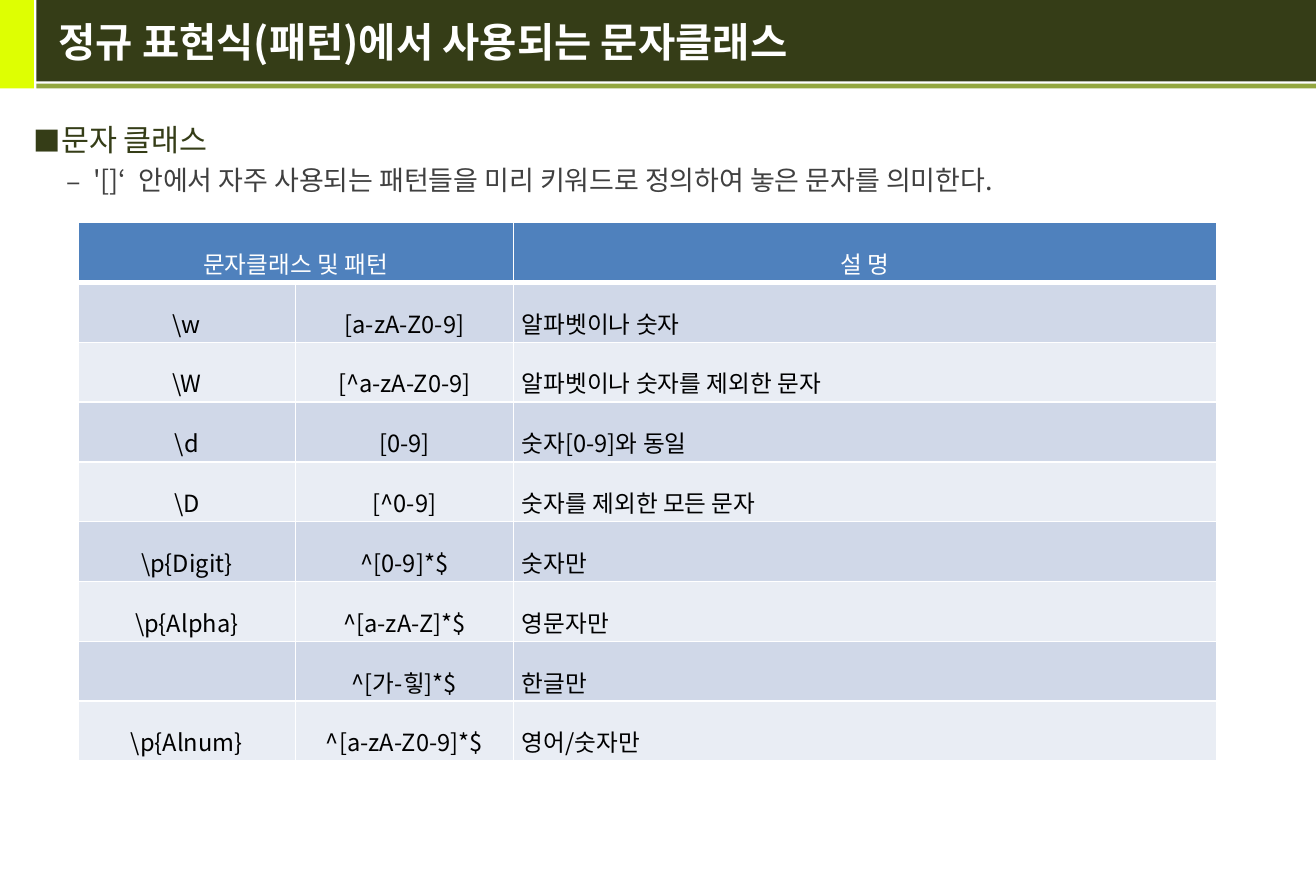
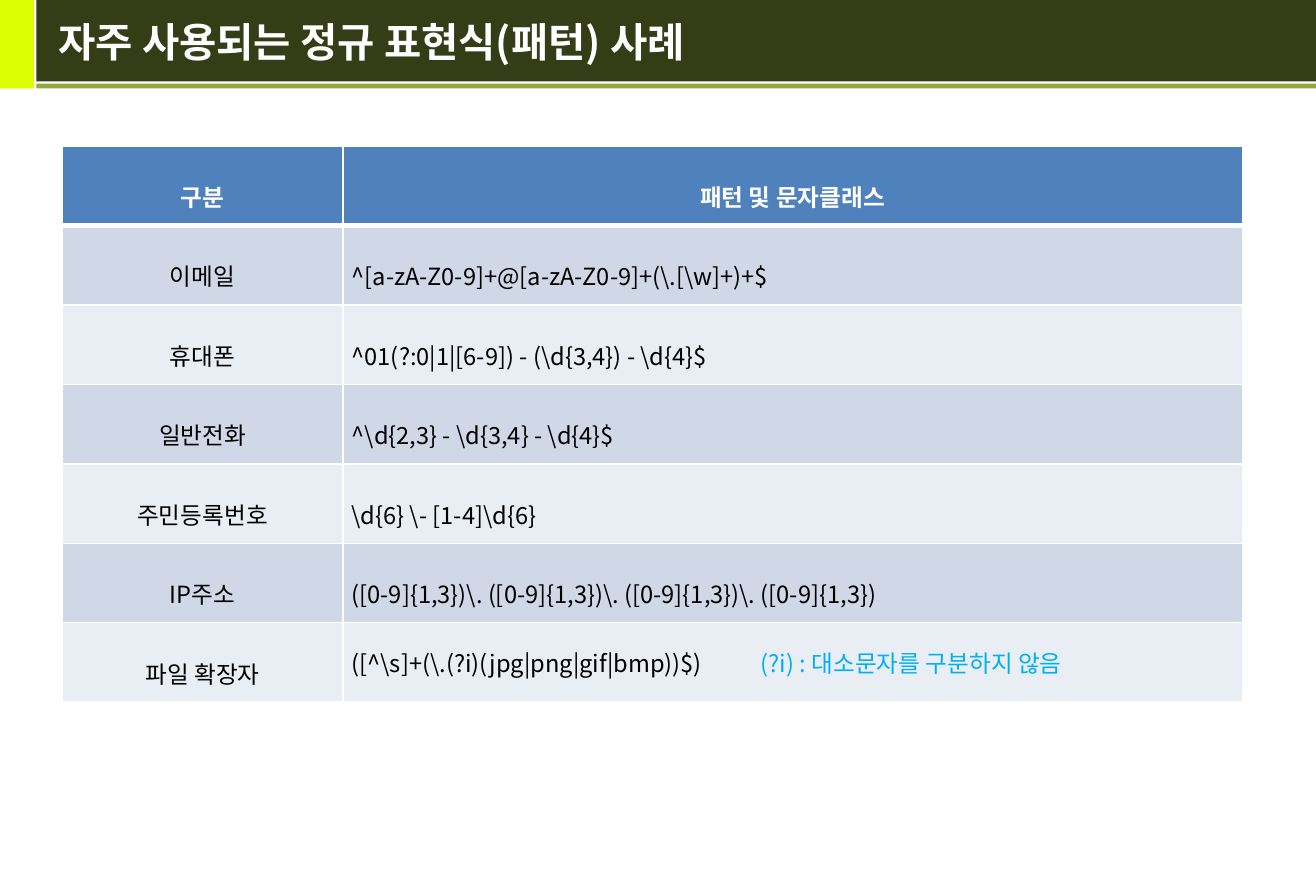
"""Builds two slides on character classes and common regular expressions."""
from lxml.etree import SubElement as Sub
from pptx import Presentation
from pptx.dml.color import RGBColor as RGB
from pptx.enum.shapes import MSO_SHAPE as Form
from pptx.enum.text import MSO_ANCHOR as Anchor, PP_ALIGN as Align
from pptx.oxml.ns import qn
from pptx.util import Cm, Pt

FONT = "Noto Sans CJK KR"
LIME = RGB(0xDE, 0xFF, 0x02)
DARK = RGB(0x35, 0x3D, 0x17)
OLIVE = RGB(0x93, 0xA7, 0x3F)
GREY = RGB(0x40, 0x40, 0x40)
BLUE = RGB(0x4F, 0x81, 0xBD)
SKY = RGB(0x00, 0xB0, 0xF0)
BANDS = [RGB(0xE9, 0xED, 0xF4), RGB(0xD0, 0xD8, 0xE8)]
WHITE = RGB(0xFF, 0xFF, 0xFF)
BLACK = RGB(0, 0, 0)

BARS = [
    (0, 0, 0.71, 1.85, LIME),
    (0.76, 0, 26.75, 1.7, DARK),
    (0.76, 1.75, 26.75, 0.1, OLIVE),
]
POINTS = [
    ("문자 클래스", 18, DARK, "■", 90, 0.51, 0.51, 1.2, 5.4),
    ("'[]‘  안에서 자주 사용되는 패턴들을 미리 키워드로 정의하여 놓은 문자를 의미한다.",
     16, GREY, "–", 100, 1.24, 0.56, 1, 3.2),
]
CLASSES = [
    ("문자클래스 및 패턴", "", "설 명"),
    (r"\w", "[a-zA-Z0-9]", "알파벳이나 숫자"),
    (r"\W", "[^a-zA-Z0-9]", "알파벳이나 숫자를 제외한 문자"),
    (r"\d", "[0-9]", "숫자[0-9]와 동일"),
    (r"\D", "[^0-9]", "숫자를 제외한 모든 문자"),
    (r"\p{Digit}", "^[0-9]*$", "숫자만"),
    (r"\p{Alpha}", "^[a-zA-Z]*$", "영문자만"),
    ("", "^[가-힣]*$", "한글만"),
    (r"\p{Alnum}", "^[a-zA-Z0-9]*$", "영어/숫자만"),
]
CASES = [
    ("구분", "패턴 및 문자클래스"),
    ("이메일", r"^[a-zA-Z0-9]+@[a-zA-Z0-9]+(\.[\w]+)+$"),
    ("휴대폰", r"^01(?:0|1|[6-9]) - (\d{3,4}) - \d{4}$"),
    ("일반전화", r"^\d{2,3} - \d{3,4} - \d{4}$"),
    ("주민등록번호", r"\d{6} \- [1-4]\d{6}"),
    ("IP주소", r"([0-9]{1,3})\. ([0-9]{1,3})\. ([0-9]{1,3})\. ([0-9]{1,3})"),
    ("파일 확장자", r"([^\s]+(\.(?i)(jpg|png|gif|bmp))$)"),
]
SLIDES = [
    ("정규 표현식(패턴)에서 사용되는 문자클래스", POINTS, CLASSES,
     1.63, 4.65, [4.55, 4.55, 14.7], 1.25, False),
    ("자주 사용되는 정규 표현식(패턴) 사례", [], CASES,
     1.3, 3.05, [5.87, 18.8], 1.66, True),
]


def write(par, text, size, color, bold=False):
    run = par.add_run()
    run.text = text
    font = run.font
    font.name, font.size, font.bold = FONT, Pt(size), bold
    font.color.rgb = color
    Sub(run._r.get_or_add_rPr(), qn("a:ea"), typeface=FONT)


def add_box(slide, left, top, width, height):
    frame = slide.shapes.add_textbox(Cm(left), Cm(top), Cm(width), Cm(height)).text_frame
    frame.word_wrap = True
    return frame


deck = Presentation()
deck.slide_width, deck.slide_height = Cm(27.51), Cm(18.49)

for title, points, rows, left, top, widths, high, bold in SLIDES:
    slide = deck.slides.add_slide(deck.slide_layouts[6])
    for x, y, wide, tall, color in BARS:
        bar = slide.shapes.add_shape(Form.RECTANGLE, Cm(x), Cm(y), Cm(wide), Cm(tall))
        bar.shadow.inherit = False
        bar.fill.solid()
        bar.fill.fore_color.rgb = color
        bar.line.fill.background()

    head = add_box(slide, 0.97, 0, 26.2, 1.73)
    head.vertical_anchor = Anchor.MIDDLE
    write(head.paragraphs[0], title, 24, WHITE, True)

    if points:
        body = add_box(slide, 0.46, 2.26, 26.3, 2.3)
    for i, (text, size, color, sign, scale, margin, hang, line, before) in enumerate(points):
        par = body.add_paragraph() if i else body.paragraphs[0]
        par.line_spacing, par.space_before = line, Pt(before)
        props = par._p.get_or_add_pPr()
        props.set("marL", str(Cm(margin)))
        props.set("indent", str(-Cm(hang)))
        tint = Sub(props, qn("a:buClr"))
        Sub(tint, qn("a:srgbClr"), val=str(color))
        Sub(props, qn("a:buSzPct"), val=str(scale * 1000))
        Sub(props, qn("a:buFont"), typeface=FONT)
        Sub(props, qn("a:buChar"), char=sign)
        write(par, text, size, color)

    grid = slide.shapes.add_table(len(rows), len(widths), Cm(left), Cm(top),
                                  Cm(sum(widths)), Cm(high * len(rows))).table
    for col, wide in zip(grid.columns, widths):
        col.width = Cm(wide)
    for r, row in enumerate(rows):
        grid.rows[r].height = Cm(high)
        for c, text in enumerate(row):
            cell = grid.cell(r, c)
            cell.vertical_anchor = Anchor.MIDDLE
            cell.margin_left = cell.margin_right = Cm(0.18)
            cell.margin_top = cell.margin_bottom = Cm(0.05)
            for side in "LRTB":
                thick = (r, side) in [(0, "B"), (1, "T")]
                edge = Sub(cell._tc.get_or_add_tcPr(), qn("a:ln" + side),
                           w=str(Pt(3 if thick else 1)))
                Sub(Sub(edge, qn("a:solidFill")), qn("a:srgbClr"), val=str(WHITE))
            cell.fill.solid()
            cell.fill.fore_color.rgb = BANDS[r % 2] if r else BLUE
            par = cell.text_frame.paragraphs[0]
            last = c == len(row) - 1
            par.alignment = Align.LEFT if r and last else Align.CENTER
            par.line_spacing = 1.6
            if text:
                write(par, text, 14, BLACK if r else WHITE, bold and r == 0)
    if rows is CLASSES:
        grid.cell(0, 0).merge(grid.cell(0, 1))
    else:
        par.line_spacing = 1
        tabs = Sub(par._p.get_or_add_pPr(), qn("a:tabLst"))
        Sub(tabs, qn("a:tab"), pos=str(Cm(8.55)), algn="l")
        write(par, "\t(?i) : 대소문자를 구분하지 않음", 14, SKY)

deck.save("out.pptx")
